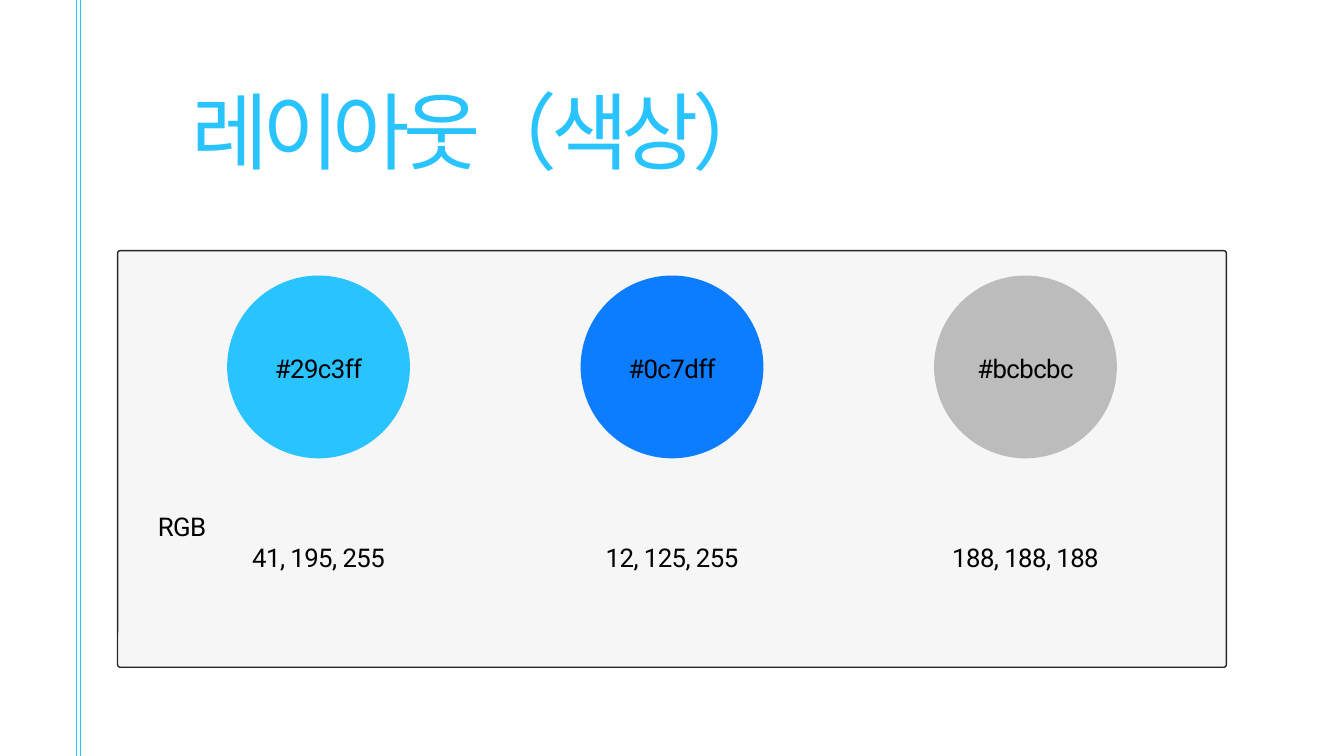
from pptx import Presentation
from pptx.dml.color import RGBColor
from pptx.enum.shapes import MSO_CONNECTOR as Connector, MSO_SHAPE as Shape
from pptx.enum.text import MSO_ANCHOR as Anchor, MSO_AUTO_SIZE as AutoSize, PP_ALIGN as Align
from pptx.oxml.ns import qn
from pptx.util import Inches, Pt
from lxml.etree import SubElement

SKY = RGBColor(0x29, 0xC3, 0xFF)
BLUE = RGBColor(0x0C, 0x7D, 0xFF)
GRAY = RGBColor(0xBC, 0xBC, 0xBC)
PANEL = RGBColor(0xF6, 0xF6, 0xF6)
BORDER = RGBColor(0x27, 0x27, 0x27)
BLACK = RGBColor(0, 0, 0)

FRAME = {"margin_left": 0, "margin_top": 0, "margin_right": 0, "margin_bottom": 0,
         "word_wrap": True, "auto_size": AutoSize.NONE, "vertical_anchor": Anchor.TOP}
TITLE = {"name": "Noto Sans CJK KR", "size": Pt(90), "bold": False}
LABEL = {"name": "Roboto", "size": Pt(27.6), "bold": False}

CIRCLE_SIZE = 2.72
CENTER = 10
COLUMN_STEP = 5.26
SWATCHES = [(SKY, "#29c3ff", "41, 195, 255"),
            (BLUE, "#0c7dff", "12, 125, 255"),
            (GRAY, "#bcbcbc", "188, 188, 188")]


def apply(target, values):
    for name, value in values.items():
        setattr(target, name, value)


def place(box, left, top, width, height):
    apply(box, {"left": Inches(left), "top": Inches(top),
                "width": Inches(width), "height": Inches(height)})


def write(box, text, font, color, align, line_height, tracking):
    apply(box.text_frame, FRAME)
    para = box.text_frame.paragraphs[0]
    apply(para, {"alignment": align, "line_spacing": Pt(line_height),
                 "space_before": Pt(0), "space_after": Pt(0)})
    span = para.add_run()
    span.text = text
    apply(span.font, font)
    span.font.color.rgb = color
    properties = span.font._element
    properties.set("spc", str(round(tracking * 100)))
    SubElement(properties, qn("a:ea")).set("typeface", font["name"])


def add_title(page, text):
    title = page.shapes.title
    place(title, 2.85, 0.93, 12.77, 1.7)
    write(title, text, TITLE, SKY, Align.LEFT, 126, -7.2)


def add_label(page, text, center, top, width=2.4):
    box = page.shapes.add_textbox(0, 0, 0, 0)
    place(box, center - width / 2, top, width, 0.51)
    write(box, text, LABEL, BLACK, Align.CENTER, 38.6, -0.6)


def add_rule(page, x):
    rule = page.shapes.add_connector(
        Connector.STRAIGHT, Inches(x), Inches(11.25), Inches(x), 0)
    rule.line.color.rgb = SKY
    rule.line.width = Pt(0.75)
    SubElement(rule._element.spPr, qn("a:effectLst"))


def add_filled(page, kind, left, top, width, height, color):
    shape = page.shapes.add_shape(
        kind, Inches(left), Inches(top), Inches(width), Inches(height))
    shape.shadow.inherit = False
    shape.fill.solid()
    shape.fill.fore_color.rgb = color
    shape.line.fill.background()
    return shape


def add_panel(page):
    panel = add_filled(page, Shape.ROUNDED_RECTANGLE, 1.75, 3.73, 16.5, 6.2, PANEL)
    panel.adjustments[0] = 0.04 / 6.2
    panel.line.color.rgb = BORDER
    panel.line.width = Pt(1.5)


def add_swatch(page, center, color, code, rgb):
    add_filled(page, Shape.OVAL, center - CIRCLE_SIZE / 2, 4.1,
               CIRCLE_SIZE, CIRCLE_SIZE, color)
    add_label(page, code, center, 5.18)
    add_label(page, rgb, center, 7.98)


def main():
    deck = Presentation()
    deck.slide_width, deck.slide_height = Inches(20), Inches(11.25)
    page = deck.slides.add_slide(deck.slide_layouts.get_by_name("Title Only"))
    for x in (1.13, 1.19):
        add_rule(page, x)
    add_panel(page)
    add_title(page, "레이아웃（색상）")
    for column, swatch in enumerate(SWATCHES):
        add_swatch(page, CENTER + (column - 1) * COLUMN_STEP, *swatch)
    add_label(page, "RGB", 2.71, 7.52, 1.33)
    deck.save("out.pptx")


if __name__ == "__main__":
    main()
